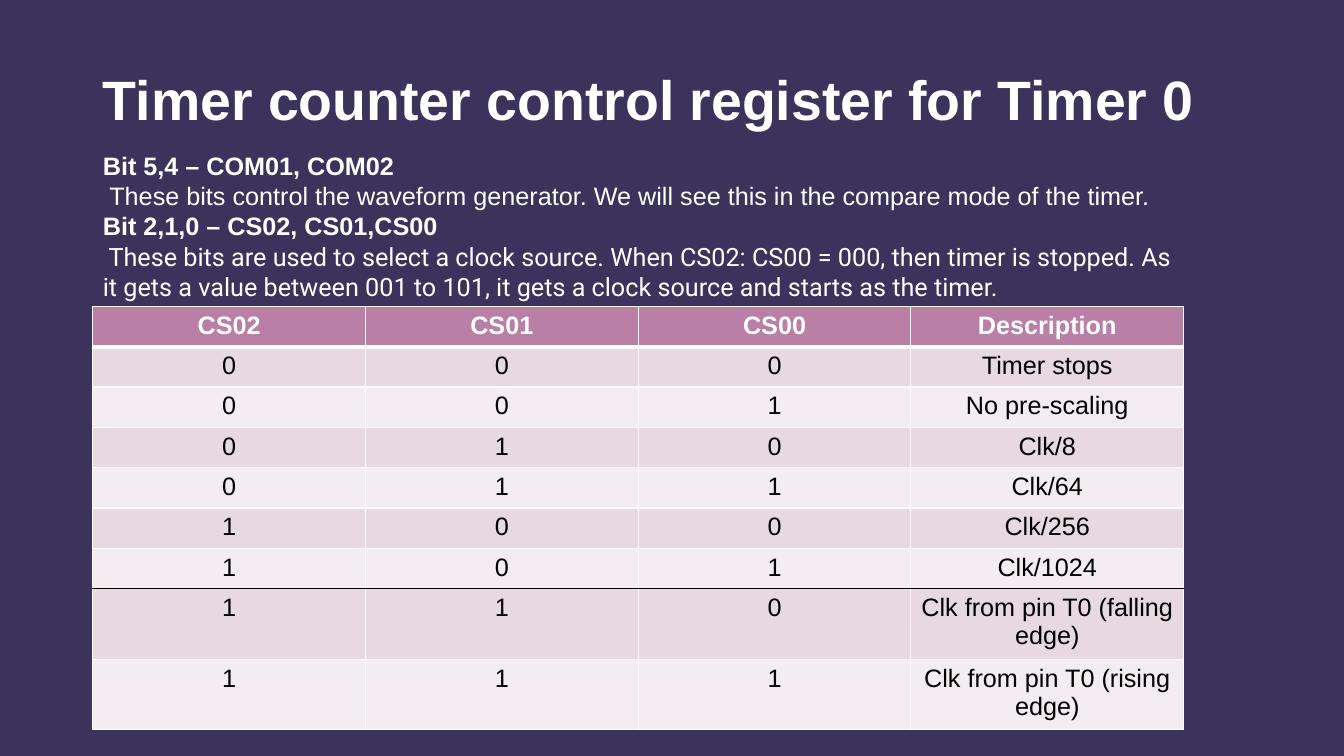
from dataclasses import dataclass

from lxml import etree
from pptx import Presentation
from pptx.dml.color import RGBColor
from pptx.enum.text import MSO_ANCHOR, MSO_AUTO_SIZE, PP_ALIGN
from pptx.oxml.ns import qn
from pptx.util import Inches, Pt

LEFT, CENTER = PP_ALIGN.LEFT, PP_ALIGN.CENTER
TOP, MIDDLE = MSO_ANCHOR.TOP, MSO_ANCHOR.MIDDLE
NO_FIT = MSO_AUTO_SIZE.NONE

# Content
TITLE = "Timer counter control register for Timer 0"
# Each paragraph: text, bold, font role
NOTES = [
    ("Bit 5,4 – COM01, COM02", True, "main"),
    (" These bits control the waveform generator. We will see this in the "
     "compare mode of the timer.", False, "main"),
    ("Bit 2,1,0 – CS02, CS01,CS00", True, "main"),
    (" These bits are used to select a clock source. When CS02: CS00 = 000, "
     "then timer is stopped. As it gets a value between 001 to 101, it gets "
     "a clock source and starts as the timer.", False, "alternate"),
]
HEADINGS = ["CS02", "CS01", "CS00", "Description"]
CLOCK_SOURCES = [
    "Timer stops", "No pre-scaling", "Clk/8", "Clk/64", "Clk/256", "Clk/1024",
    "Clk from pin T0 (falling edge)", "Clk from pin T0 (rising edge)",
]
FIRST_PIN_ROW = 7  # external clock rows start here, below the black rule


@dataclass(frozen=True)
class Theme:
    background: str = "3B335B"
    header: str = "BA7FA6"
    odd_row: str = "E7D8E1"
    even_row: str = "F3ECF1"
    light: str = "FFFFFF"
    dark: str = "000000"
    main: str = "Arial"
    alternate: str = "Roboto"
    title_size: float = 39.6
    text_size: float = 18
    line_pitch: float = 21.6


THEME = Theme()


def place(box, left, top, width, height):
    box.left, box.top = Inches(left), Inches(top)
    box.width, box.height = Inches(width), Inches(height)


def add_span(para, text, color, size=THEME.text_size, bold=False, font=THEME.main):
    span = para.add_run()
    span.text = text
    span.font.name = font
    span.font.size = Pt(size)
    span.font.bold = bold
    span.font.color.rgb = RGBColor.from_string(color)


def set_frame(box, anchor):
    frame = box.text_frame
    frame.word_wrap = True
    frame.auto_size = NO_FIT
    frame.vertical_anchor = anchor
    return frame


def remove_bullet(para):
    props = para._p.get_or_add_pPr()
    props.set("marL", "0")
    props.set("indent", "0")
    etree.SubElement(props, qn("a:buNone"))


def add_border(cell, side, color, width):
    line = etree.Element(qn(f"a:ln{side}"), w=str(Pt(width)))
    fill = etree.SubElement(line, qn("a:solidFill"))
    etree.SubElement(fill, qn("a:srgbClr"), val=color)
    return line


def style_cell(cell, fill, borders):
    cell.fill.solid()
    cell.fill.fore_color.rgb = RGBColor.from_string(fill)
    props = cell._tc.get_or_add_tcPr()
    for index, (side, (color, width)) in enumerate(borders.items()):
        props.insert(index, add_border(cell, side, color, width))


def row_borders(row):
    """Thin white lines, a thick one under the header, black above the pin rows."""
    borders = dict.fromkeys("LRTB", (THEME.light, 1))
    if row == 0:
        borders["B"] = (THEME.light, 3)
    elif row == 1:
        borders["T"] = (THEME.light, 3)
    elif row == FIRST_PIN_ROW - 1:
        borders["B"] = (THEME.dark, 1)
    elif row == FIRST_PIN_ROW:
        borders["T"] = (THEME.dark, 1)
    return borders


def fill_title(box):
    place(box, 0.92, 0.25, 11.5, 1.45)
    para = set_frame(box, MIDDLE).paragraphs[0]
    para.alignment = LEFT
    add_span(para, TITLE, THEME.light, THEME.title_size, True)


def fill_notes(box):
    place(box, 0.92, 1.44, 10.9, 2.22)
    frame = set_frame(box, TOP)
    for index, (text, bold, role) in enumerate(NOTES):
        para = frame.add_paragraph() if index else frame.paragraphs[0]
        para.alignment = LEFT
        para.line_spacing = Pt(THEME.line_pitch)
        para.space_before = Pt(0)
        remove_bullet(para)
        add_span(para, text, THEME.light, bold=bold, font=getattr(THEME, role))


def add_clock_table(page):
    # The three select bits of each row spell its number in binary
    rows = [HEADINGS] + [
        [*format(code, "03b"), source] for code, source in enumerate(CLOCK_SOURCES)
    ]
    heights = [0.7 if row >= FIRST_PIN_ROW else 0.4 for row in range(len(rows))]
    table = page.shapes.add_table(
        len(rows), len(HEADINGS), Inches(0.92), Inches(3.04),
        Inches(10.82), Inches(sum(heights))).table
    for row, (texts, height) in enumerate(zip(rows, heights)):
        table.rows[row].height = Inches(height)
        is_header = row == 0
        band = THEME.odd_row if row % 2 else THEME.even_row
        for column, text in enumerate(texts):
            cell = table.cell(row, column)
            style_cell(cell, THEME.header if is_header else band, row_borders(row))
            para = cell.text_frame.paragraphs[0]
            para.alignment = CENTER
            add_span(para, text, THEME.light if is_header else THEME.dark,
                     bold=is_header)


def main():
    deck = Presentation()
    deck.slide_width, deck.slide_height = Inches(13.33), Inches(7.5)
    page = deck.slides.add_slide(deck.slide_layouts[1])
    page.background.fill.solid()
    page.background.fill.fore_color.rgb = RGBColor.from_string(THEME.background)

    fill_title(page.shapes.title)
    fill_notes(page.placeholders[1])
    add_clock_table(page)
    deck.save("out.pptx")


if __name__ == "__main__":
    main()
